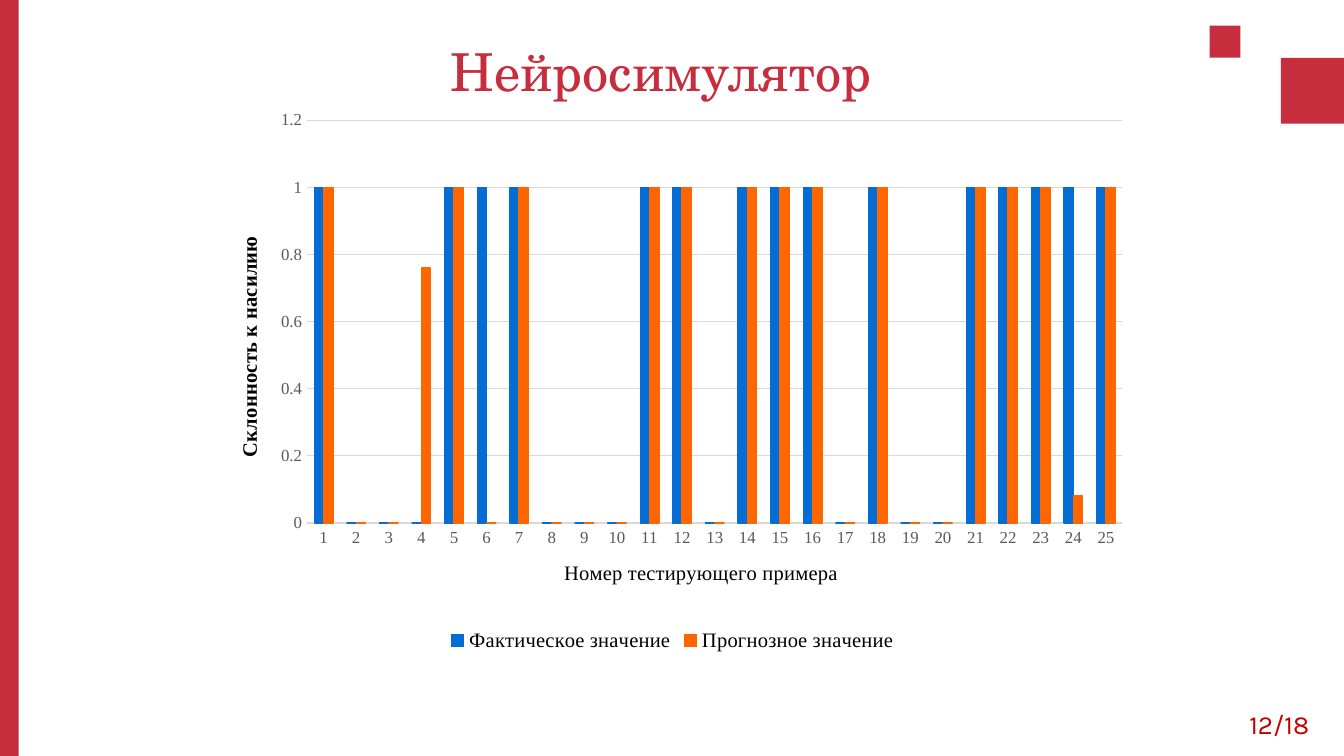
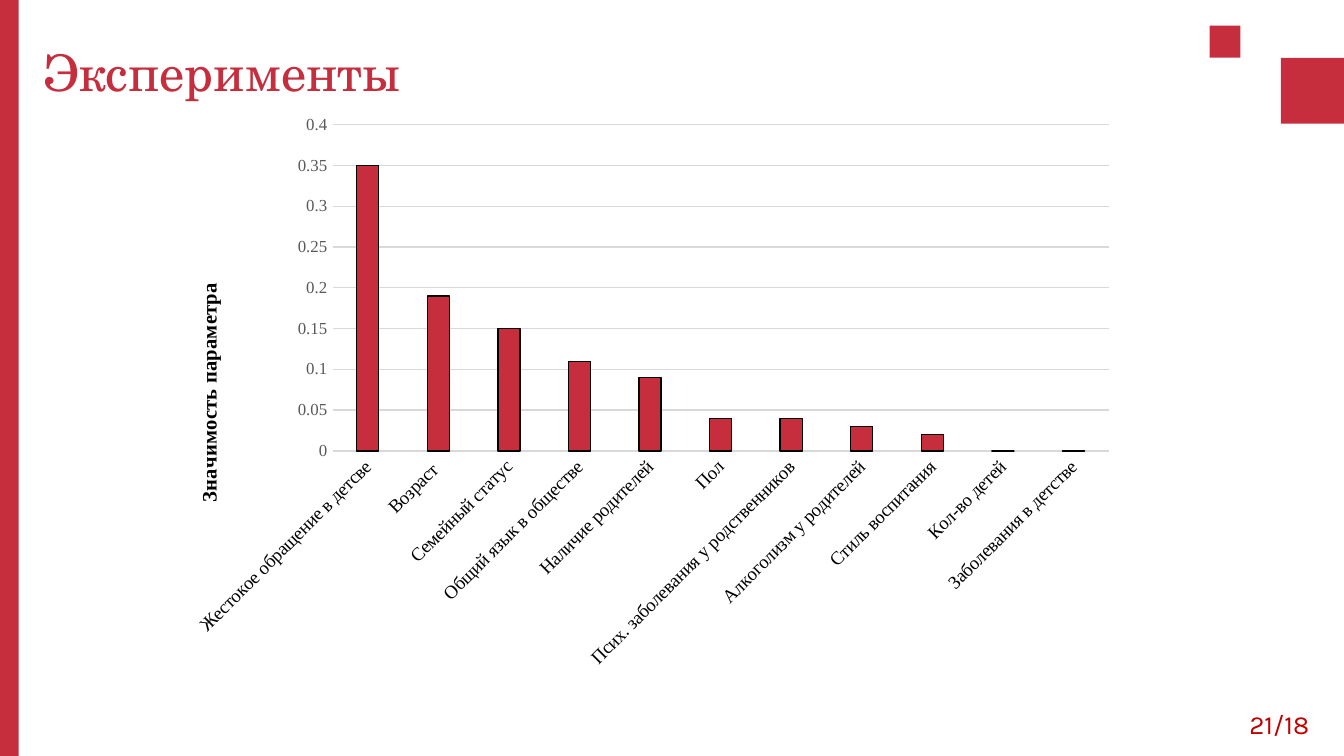
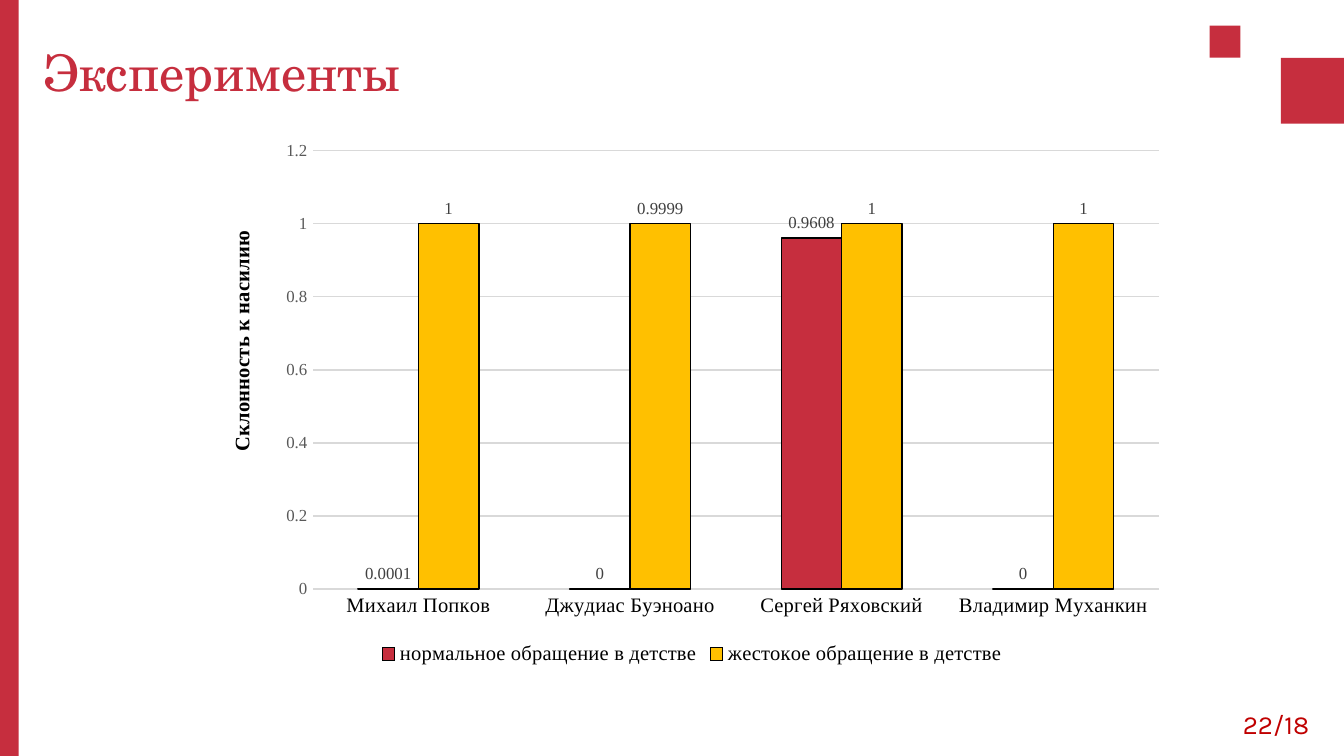
"""Build three slides of column charts on one shared red layout."""
from dataclasses import dataclass

from lxml import etree
from pptx import Presentation
from pptx.chart.data import CategoryChartData
from pptx.dml.color import RGBColor
from pptx.enum.chart import XL_CHART_TYPE, XL_LABEL_POSITION, XL_LEGEND_POSITION, XL_TICK_MARK
from pptx.enum.shapes import MSO_SHAPE
from pptx.enum.text import MSO_ANCHOR, MSO_AUTO_SIZE, PP_ALIGN
from pptx.oxml.ns import qn
from pptx.util import Inches, Pt

COLUMNS = XL_CHART_TYPE.COLUMN_CLUSTERED
OUTSIDE_END = XL_LABEL_POSITION.OUTSIDE_END
LEGEND_BOTTOM = XL_LEGEND_POSITION.BOTTOM
NO_TICK = XL_TICK_MARK.NONE
RECTANGLE = MSO_SHAPE.RECTANGLE
BOTTOM = MSO_ANCHOR.BOTTOM
FIXED_SIZE = MSO_AUTO_SIZE.NONE
LEFT, CENTER, RIGHT = PP_ALIGN.LEFT, PP_ALIGN.CENTER, PP_ALIGN.RIGHT

WIDTH = 10
HEIGHT = WIDTH * 9 / 16
TITLE_ONLY = 5
BANDS = [(0, 0, 0.14, HEIGHT), (9.53, 0.43, 0.47, 0.49), (9, 0.19, 0.23, 0.24)]
TITLE_BOX = (0.25, -0.04, 9.34, 0.84)
NUMBER_BOX = (9, 5.22, 0.84, 0.34)
TOTAL_SLIDES = 18
VIOLENCE = "Склонность к насилию"


@dataclass(frozen=True)
class Theme:
    """Colours, fonts and type sizes of the deck."""

    red: str = "C62E3E"
    number_red: str = "C00000"
    blue: str = "046DD5"
    orange: str = "FF6600"
    yellow: str = "FFC000"
    black: str = "000000"
    tick_gray: str = "595959"
    label_gray: str = "404040"
    grid_gray: str = "D9D9D9"
    title_font: str = "TeX Gyre Schola"
    number_font: str = "Karla"
    chart_font: str = "Times New Roman"
    large_title_size: int = 28
    title_size: int = 27
    number_size: int = 14
    caption_size: int = 11
    chart_size: int = 10
    tick_size: int = 9
    line: float = 0.75


THEME = Theme()


def rgb(color):
    """Turn a hexadecimal string into a colour."""
    return RGBColor.from_string(color)


def box(lengths):
    """Turn left, top, width and height in inches into lengths."""
    return [Inches(length) for length in lengths]


def set_font(font, size, color=THEME.black, name=THEME.chart_font, bold=False):
    """Format one font."""
    font.size, font.name, font.bold = Pt(size), name, bold
    font.color.rgb = rgb(color)


def set_line(line, color, width=THEME.line):
    """Draw a line in one colour, or hide it when there is none."""
    if color is None:
        line.fill.background()
    else:
        line.color.rgb = rgb(color)
        line.width = Pt(width)


def set_layout(parent, index, **shares):
    """Place a chart part by shares of the chart's size."""
    for old_layout in parent.findall(qn("c:layout")):
        parent.remove(old_layout)
    layout = etree.Element(qn("c:layout"))
    manual = etree.SubElement(layout, qn("c:manualLayout"))
    if "w" in shares:
        etree.SubElement(manual, qn("c:layoutTarget")).set("val", "inner")
    for side in ("x", "y"):
        etree.SubElement(manual, qn(f"c:{side}Mode")).set("val", "edge")
    for key, share in shares.items():
        etree.SubElement(manual, qn(f"c:{key}")).set("val", str(share))
    parent.insert(index, layout)


def prepare_layout(layout, slide):
    """Put the red bands and the title frame on the shared layout."""
    for band in BANDS:
        shape = slide.shapes.add_shape(RECTANGLE, *box(band))
        shape.shadow.inherit = False
        shape.fill.solid()
        shape.fill.fore_color.rgb = rgb(THEME.red)
        shape.line.fill.background()
        layout.shapes.element.append(shape.element)
    title = layout.placeholders[0]
    title.left, title.top, title.width, title.height = box(TITLE_BOX)
    frame = title.text_frame
    frame.auto_size, frame.vertical_anchor = FIXED_SIZE, BOTTOM
    frame.margin_left = frame.margin_right = Inches(0.07)
    frame.margin_top = frame.margin_bottom = Inches(0.04)


def add_title(slide, text, size, alignment):
    """Fill the title placeholder."""
    slide.shapes.title.text = text
    paragraph = slide.shapes.title.text_frame.paragraphs[0]
    paragraph.alignment = alignment
    set_font(paragraph.font, size, THEME.red, THEME.title_font)


def add_number(slide, number):
    """Write the slide number at the lower right."""
    frame = slide.shapes.add_textbox(*box(NUMBER_BOX)).text_frame
    frame.word_wrap = True
    paragraph = frame.paragraphs[0]
    paragraph.text = f"{number}/{TOTAL_SLIDES}"
    paragraph.alignment = RIGHT
    set_font(paragraph.font, THEME.number_size, THEME.number_red, THEME.number_font)


def add_axis_title(axis, text, position, bold=False, rotation=0):
    """Name an axis at a position given in shares of the chart."""
    title = axis.axis_title
    title.text_frame.text = text
    set_font(title.text_frame.paragraphs[0].font, THEME.caption_size, bold=bold)
    body = title.element.find(f".//{qn('a:bodyPr')}")
    body.set("rot", str(rotation * 60000))
    body.set("vert", "horz")
    set_layout(title.element, 1, x=position[0], y=position[1])


def add_column_chart(slide, place, plot_area, categories, series, gap):
    """Add a clustered column chart; series are name, values, fill and outline."""
    data = CategoryChartData()
    data.categories = categories
    for name, values, _, _ in series:
        data.add_series(name, values)
    chart = slide.shapes.add_chart(COLUMNS, *box(place), data).chart
    chart.has_title = chart.has_legend = False
    set_font(chart.font, THEME.chart_size)
    plot = chart.plots[0]
    plot.gap_width, plot.overlap, plot.vary_by_categories = gap, 0, False
    for column, (_, _, fill, outline) in zip(plot.series, series):
        column.invert_if_negative = False
        column.format.fill.solid()
        column.format.fill.fore_color.rgb = rgb(fill)
        set_line(column.format.line, outline)
    set_layout(chart.element.xpath("//c:plotArea")[0], 0, **dict(zip("xywh", plot_area)))
    return chart


def format_value_axis(chart, title, position, maximum, step):
    """Scale the value axis, draw its grid and name it."""
    axis = chart.value_axis
    axis.minimum_scale, axis.maximum_scale, axis.major_unit = 0, maximum, step
    axis.major_tick_mark = NO_TICK
    set_line(axis.format.line, None)
    set_line(axis.major_gridlines.format.line, THEME.grid_gray)
    set_font(axis.tick_labels.font, THEME.tick_size, THEME.tick_gray)
    add_axis_title(axis, title, position, bold=True, rotation=-90)


def format_category_axis(chart, size, color=THEME.black, line=None, width=THEME.line, rotation=0):
    """Format the category axis and turn its labels."""
    axis = chart.category_axis
    axis.major_tick_mark = NO_TICK
    set_line(axis.format.line, line, width)
    set_font(axis.tick_labels.font, size, color)
    body = chart.element.xpath("//c:catAx/c:txPr/a:bodyPr")[0]
    body.set("rot", str(rotation * 60000))


def add_legend(chart):
    """Show the legend below the chart."""
    chart.has_legend = True
    chart.legend.position = LEGEND_BOTTOM
    chart.legend.include_in_layout = False
    set_font(chart.legend.font, THEME.caption_size)


def add_value_labels(chart):
    """Show the values above the columns."""
    for column in chart.plots[0].series:
        labels = column.data_labels
        labels.show_value, labels.position = True, OUTSIDE_END
        set_font(labels.font, THEME.tick_size, THEME.label_gray)


def add_simulator_chart(slide):
    """Compare actual and predicted values of the test examples."""
    actual = [1, 0, 0, 0, 1, 1, 1, 0, 0, 0, 1, 1, 0, 1, 1, 1, 0, 1, 0, 0, 1, 1, 1, 1, 1]
    predicted = list(actual)
    predicted[3], predicted[5], predicted[23] = 0.76, 0, 0.08
    chart = add_column_chart(
        slide, (1.52, 0.73, 6.97, 4.16), (0.11, 0.04, 0.87, 0.72),
        [str(number) for number in range(1, len(actual) + 1)],
        [("Фактическое значение", actual, THEME.blue, THEME.blue),
         ("Прогнозное значение", predicted, THEME.orange, THEME.orange)], 150)
    format_value_axis(chart, VIOLENCE, (0.03, 0.24), 1.2, 0.2)
    format_category_axis(chart, THEME.tick_size, THEME.tick_gray, THEME.grid_gray, 1)
    add_axis_title(chart.category_axis, "Номер тестирующего примера", (0.38, 0.82))
    add_legend(chart)


def add_significance_chart(slide):
    """Rank the parameters by significance."""
    significance = {
        "Жестокое обращение в детсве": 0.35,
        "Возраст ": 0.19,
        "Семейный статус": 0.15,
        "Общий язык в обществе": 0.11,
        "Наличие родителей": 0.09,
        "Пол": 0.04,
        "Псих. заболевания у родственников": 0.04,
        "Алкоголизм у родителей": 0.03,
        "Стиль воспитания": 0.02,
        "Кол-во детей": 0,
        "Заболевания в детстве": 0,
    }
    chart = add_column_chart(
        slide, (1.43, 0.8, 6.96, 4.26), (0.15, 0.03, 0.83, 0.57), list(significance),
        [("Series 1", list(significance.values()), THEME.red, THEME.black)], 219)
    format_value_axis(chart, "Значимость параметра", (0, 0.3), 0.4, 0.05)
    format_category_axis(chart, THEME.chart_size, line=THEME.grid_gray, rotation=-45)


def add_childhood_chart(slide):
    """Compare normal and cruel treatment in childhood."""
    chart = add_column_chart(
        slide, (1.53, 0.96, 7.24, 4.03), (0.11, 0.04, 0.87, 0.81),
        ["Михаил Попков", "Джудиас Буэноано", "Сергей Ряховский", "Владимир Муханкин"],
        [("нормальное обращение в детстве", [0.0001, 0, 0.9608, 0], THEME.red, THEME.black),
         ("жестокое обращение в детстве", [1, 0.9999, 1, 1], THEME.yellow, THEME.black)], 150)
    format_value_axis(chart, VIOLENCE, (0.02, 0.18), 1.2, 0.2)
    format_category_axis(chart, THEME.caption_size)
    add_legend(chart)
    add_value_labels(chart)


def main():
    """Build and save the presentation."""
    presentation = Presentation()
    presentation.slide_width, presentation.slide_height = Inches(WIDTH), Inches(HEIGHT)
    layout = presentation.slide_layouts[TITLE_ONLY]
    pages = [
        ("Нейросимулятор", THEME.large_title_size, CENTER, 12, add_simulator_chart),
        ("Эксперименты", THEME.title_size, LEFT, 21, add_significance_chart),
        ("Эксперименты", THEME.title_size, LEFT, 22, add_childhood_chart),
    ]
    for index, (title, size, alignment, number, add_content) in enumerate(pages):
        slide = presentation.slides.add_slide(layout)
        if index == 0:
            prepare_layout(layout, slide)
        add_title(slide, title, size, alignment)
        add_number(slide, number)
        add_content(slide)
    presentation.save("out.pptx")


if __name__ == "__main__":
    main()
